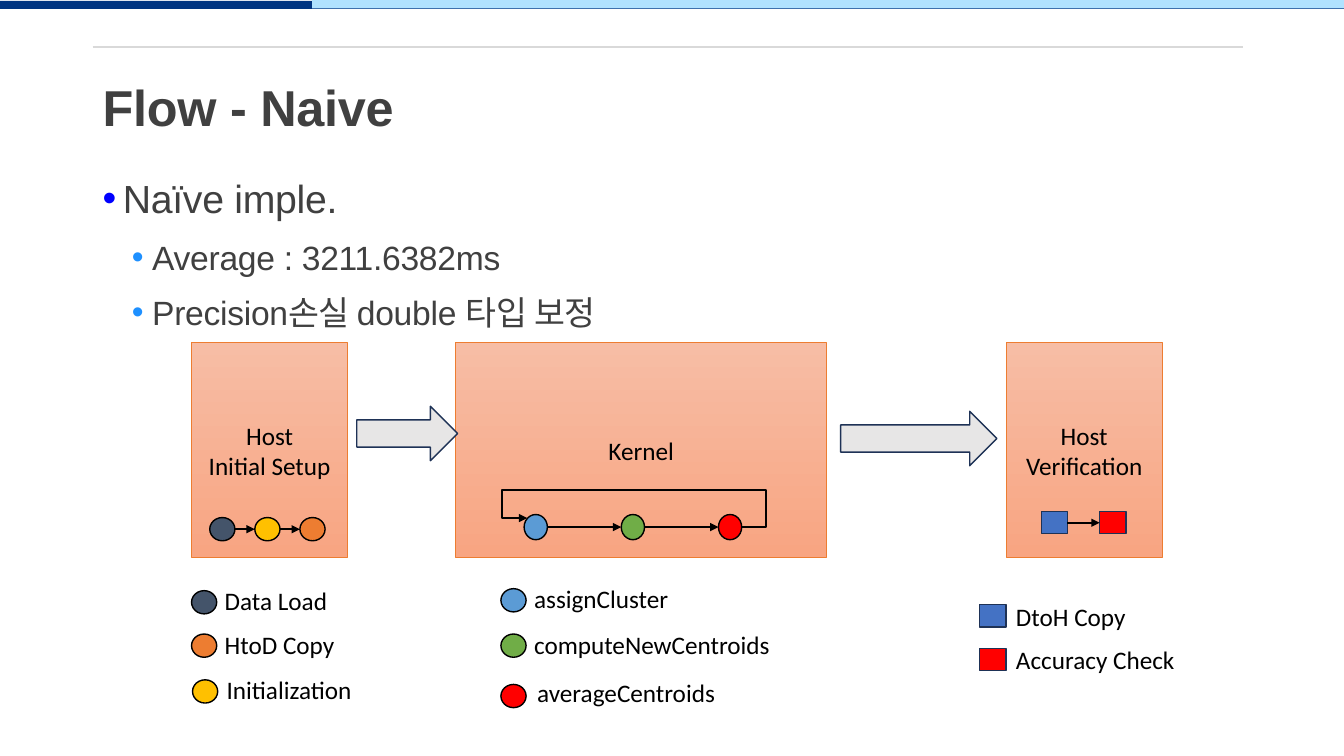
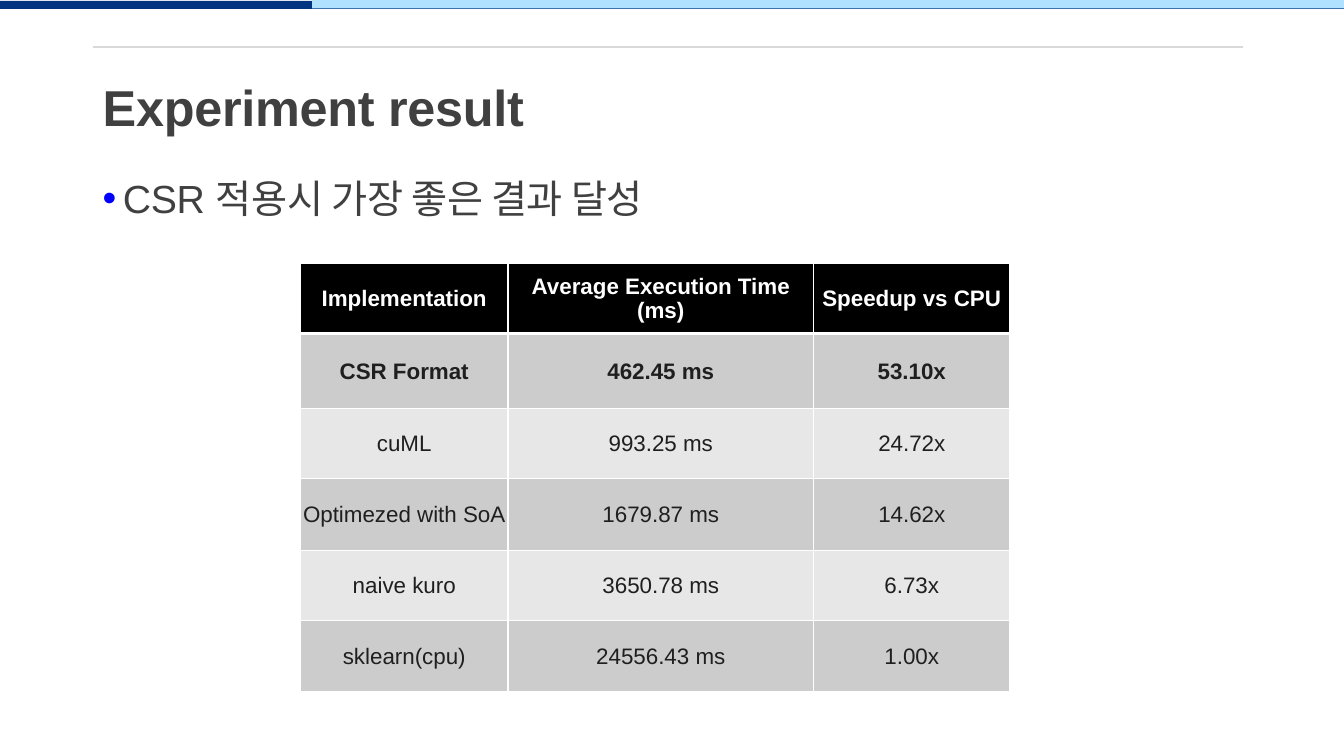
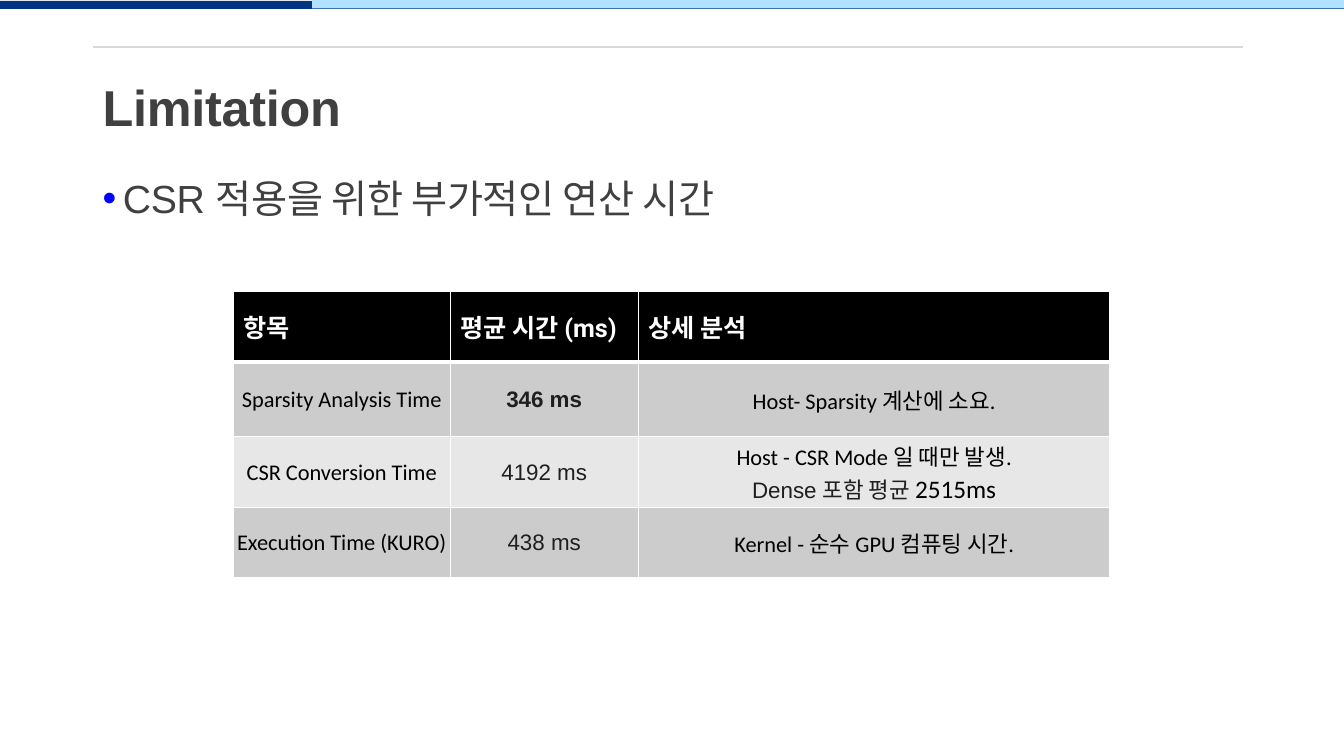
from dataclasses import dataclass

import lxml.etree
import pptx
import pptx.dml.color
import pptx.enum.shapes
import pptx.enum.text
import pptx.oxml.ns
import pptx.util

Pt = pptx.util.Pt
qn = pptx.oxml.ns.qn
SHAPE = pptx.enum.shapes.MSO_SHAPE
CONNECTOR = pptx.enum.shapes.MSO_CONNECTOR
ALIGN = pptx.enum.text.PP_ALIGN
ANCHOR = pptx.enum.text.MSO_ANCHOR

# Shared colours
NAVY, SKY, RULE_GRAY, TEXT_GRAY = "003481", "B0E2FF", "D9D9D9", "404040"
BLACK, WHITE, INK, OUTLINE = "000000", "FFFFFF", "1F1F1F", "1E3256"
SLATE, ORANGE, GOLD, RED = "44546A", "ED7D31", "FFC000", "FF0000"
LIGHT_BLUE, GREEN, BLUE = "5B9BD5", "70AD47", "4472C4"
BAND_COLORS = ("CCCCCC", "E7E7E7")

# Marker sizes
CIRCLE = (18, 16.6)
TALL_CIRCLE = (16.6, 18)
SQUARE = (18.7, 15.8)


@dataclass(frozen=True)
class TextStyle:
    font: str
    size: float
    color: str
    bold: bool = False


@dataclass(frozen=True)
class Span:
    text: str
    style: TextStyle


@dataclass(frozen=True)
class BulletLevel:
    size: float
    indent: float
    space_before: float
    bullet_color: str


@dataclass(frozen=True)
class Stage:
    left: float
    width: float
    lines: tuple[str, ...]


@dataclass(frozen=True)
class LegendEntry:
    label: str
    color: str
    left: float
    top: float
    label_right: float = 16.6
    label_up: float = 7.2
    square: bool = False


@dataclass(frozen=True)
class TableCell:
    lines: tuple[tuple[Span, ...], ...]
    centered: bool = True


@dataclass(frozen=True)
class TableSpec:
    left: float
    top: float
    widths: tuple[float, ...]
    heights: tuple[float, ...]
    rows: list[list[TableCell]]


TITLE_STYLE = TextStyle("Arial", 36, TEXT_GRAY, True)
DIAGRAM_STYLE = TextStyle("Calibri", 18, BLACK)
HEADER_STYLE = TextStyle("Arial", 16, WHITE, True)
KOREAN_HEADER_STYLE = TextStyle("Roboto", 18, WHITE, True)
VALUE_STYLE = TextStyle("Arial", 16, INK)
BEST_STYLE = TextStyle("Arial", 16, INK, True)
NOTE_STYLE = TextStyle("Calibri", 16, BLACK)
BULLET_LEVELS = (
    BulletLevel(28, 14.4, 10, "0000FF"),
    BulletLevel(24, 35.3, 5, "1E90FF"),
)

STAGE_TOP, STAGE_HEIGHT = 244.8, 153.4
STAGES = (
    Stage(136.8, 111.6, ("Host", "Initial Setup")),
    Stage(325.6, 264.8, ("Kernel",)),
    Stage(718.6, 111.6, ("Host", "Verification")),
)
LEGEND = (
    LegendEntry("Data Load", SLATE, 136.8, 421.9),
    LegendEntry("HtoD Copy", ORANGE, 136.8, 452.9),
    LegendEntry("Initialization", GOLD, 137.5, 485.6, 17.3),
    LegendEntry("assignCluster", LIGHT_BLUE, 357.8, 420.5),
    LegendEntry("computeNewCentroids", GREEN, 357.8, 452.9),
    LegendEntry("averageCentroids", RED, 357.8, 488.9, 18.8, 8.7),
    LegendEntry("DtoH Copy", BLUE, 699.8, 432, 18.8, 5.8, True),
    LegendEntry("Accuracy Check", RED, 699.8, 463, 18.8, 6.5, True),
)


def rgb(color: str) -> pptx.dml.color.RGBColor:
    return pptx.dml.color.RGBColor.from_string(color)


def style_font(font, style: TextStyle) -> None:
    font.name = style.font
    font.size = Pt(style.size)
    font.bold = style.bold
    font.color.rgb = rgb(style.color)


def write_line(paragraph, *spans: Span) -> None:
    """Fill one paragraph; a style common to all spans goes on the paragraph."""
    uniform = len({span.style for span in spans}) == 1
    if uniform:
        style_font(paragraph.font, spans[0].style)
    for span in spans:
        run = paragraph.add_run()
        run.text = span.text
        if not uniform:
            style_font(run.font, span.style)


def paragraphs_for(frame, count: int) -> list:
    while len(frame.paragraphs) < count:
        frame.add_paragraph()
    return list(frame.paragraphs)


def add_box(slide, kind, left: float, top: float, width: float, height: float,
            fill: str, line: str | None = None, line_width: float = 1):
    box = slide.shapes.add_shape(kind, Pt(left), Pt(top), Pt(width), Pt(height))
    box.shadow.inherit = False
    box.fill.solid()
    box.fill.fore_color.rgb = rgb(fill)
    if line is None:
        box.line.fill.background()
    else:
        box.line.color.rgb = rgb(line)
        box.line.width = Pt(line_width)
    return box


def add_line(slide, start: tuple[float, float], end: tuple[float, float],
             color: str = BLACK, arrow: bool = True, kind=CONNECTOR.STRAIGHT):
    line = slide.shapes.add_connector(kind, *(Pt(value) for value in start + end))
    line.line.color.rgb = rgb(color)
    line.line.width = Pt(1.5)
    properties = line.element.spPr
    if arrow:
        outline = properties.find(qn("a:ln"))
        lxml.etree.SubElement(outline, qn("a:tailEnd"), type="triangle")
    lxml.etree.SubElement(properties, qn("a:effectLst"))
    return line


# Shared slide frame
def prepare_layout(layout, slide) -> None:
    """Place the layout's placeholders and give it the bands and the rule."""
    for placeholder, top, height in zip(layout.placeholders, (57.6, 114.5), (42.5, 372.2)):
        placeholder.left, placeholder.top = Pt(66.2), Pt(top)
        placeholder.width, placeholder.height = Pt(828), Pt(height)
    decorations = (
        add_box(slide, SHAPE.RECTANGLE, 0, 0.7, 960, 5.6, NAVY),
        add_box(slide, SHAPE.RECTANGLE, 223, 0, 737, 6, SKY),
        add_line(slide, (66.2, 33.5), (887.8, 33.5), RULE_GRAY, arrow=False),
    )
    for index, decoration in enumerate(decorations):
        decoration.element.xpath(".//p:cNvPr")[0].set("id", str(100 + index))
        layout.shapes.element.insert(2 + index, decoration.element)


def tighten(paragraph) -> None:
    paragraph._p.get_or_add_pPr().get_or_add_defRPr().set("spc", "-20")


def fill_title(slide, text: str) -> None:
    frame = slide.shapes.title.text_frame
    frame.auto_size = pptx.enum.text.MSO_AUTO_SIZE.NONE
    frame.vertical_anchor = ANCHOR.MIDDLE
    paragraph = frame.paragraphs[0]
    paragraph.alignment = ALIGN.LEFT
    paragraph.line_spacing = 0.9
    write_line(paragraph, Span(text, TITLE_STYLE))
    tighten(paragraph)


def fill_bullets(slide, items: list[tuple[int, str]]) -> None:
    frame = slide.placeholders[1].text_frame
    frame.auto_size = pptx.enum.text.MSO_AUTO_SIZE.NONE
    for paragraph, (depth, text) in zip(paragraphs_for(frame, len(items)), items):
        level = BULLET_LEVELS[depth]
        paragraph.level = depth
        paragraph.line_spacing = 1.2
        paragraph.space_before = Pt(level.space_before)
        properties = paragraph._p.get_or_add_pPr()
        properties.set("marL", str(Pt(level.indent)))
        properties.set("indent", str(-Pt(14.4)))
        bullet_color = lxml.etree.SubElement(properties, qn("a:buClr"))
        lxml.etree.SubElement(bullet_color, qn("a:srgbClr"), val=level.bullet_color)
        lxml.etree.SubElement(properties, qn("a:buFont"), typeface="Arial")
        lxml.etree.SubElement(properties, qn("a:buChar"), char="•")
        write_line(paragraph, Span(text, TextStyle("Arial", level.size, TEXT_GRAY)))
        tighten(paragraph)


# Flow diagram
def add_stage(slide, stage: Stage) -> None:
    box = add_box(slide, SHAPE.RECTANGLE, stage.left, STAGE_TOP, stage.width,
                  STAGE_HEIGHT, WHITE, ORANGE, 0.5)
    box.fill.gradient()
    box.fill.gradient_angle = 270
    for stop, color in zip(box.fill.gradient_stops, ("F7BDA5", "F8A582")):
        stop.color.rgb = rgb(color)
    frame = box.text_frame
    frame.vertical_anchor = ANCHOR.MIDDLE
    for paragraph, text in zip(paragraphs_for(frame, len(stage.lines)), stage.lines):
        paragraph.alignment = ALIGN.CENTER
        write_line(paragraph, Span(text, DIAGRAM_STYLE))


def add_legend_entry(slide, entry: LegendEntry) -> None:
    if entry.square:
        add_box(slide, SHAPE.RECTANGLE, entry.left, entry.top, *SQUARE, entry.color, OUTLINE)
    else:
        add_box(slide, SHAPE.OVAL, entry.left, entry.top, *CIRCLE, entry.color, BLACK)
    label = slide.shapes.add_textbox(
        Pt(entry.left + entry.label_right), Pt(entry.top - entry.label_up), Pt(190), Pt(28.8))
    label.text_frame.word_wrap = True
    write_line(label.text_frame.paragraphs[0], Span(entry.label, DIAGRAM_STYLE))


def add_circle_chain(slide, left: float, middle: float, step: float,
                     size: tuple[float, float], colors: tuple[str, ...]) -> None:
    """Draw evenly spaced circles, each joined to the next by an arrow."""
    width, height = size
    for index, color in enumerate(colors):
        start = left + index * step
        add_box(slide, SHAPE.OVAL, start, middle - height / 2, width, height, color, BLACK)
        if index:
            add_line(slide, (start - step + width, middle), (start, middle))


def add_loop_arrow(slide) -> None:
    loop = add_line(slide, (529.2, 376.5), (376.6, 370.1), kind=CONNECTOR.ELBOW)
    geometry = loop.element.spPr.find(qn("a:prstGeom"))
    geometry.set("prst", "bentConnector5")
    guides = geometry.find(qn("a:avLst"))
    for number, value in enumerate((-11800, 416700, 111800), start=1):
        lxml.etree.SubElement(guides, qn("a:gd"), name=f"adj{number}", fmla=f"val {value}")


def draw_flow(slide) -> None:
    for stage in STAGES:
        add_stage(slide, stage)
    for left, top, width in ((254.9, 290.2, 72), (600.5, 293.8, 111.6)):
        add_box(slide, SHAPE.RIGHT_ARROW, left, top, width, 38.9, "E7E6E6", OUTLINE)
    add_circle_chain(slide, 149.8, 378, 32.2, CIRCLE, (SLATE, GOLD, ORANGE))
    add_circle_chain(slide, 374.4, 376.5, 69.4, TALL_CIRCLE, (LIGHT_BLUE, GREEN, RED))
    add_loop_arrow(slide)
    copy_square, check_square = (
        add_box(slide, SHAPE.RECTANGLE, left, 365.5, *SQUARE, color, OUTLINE)
        for left, color in ((743.8, BLUE), (785.5, RED)))
    link = add_line(slide, (762.5, 373.4), (785.5, 373.4))
    link.begin_connect(copy_square, 3)
    link.end_connect(check_square, 1)
    for entry in LEGEND:
        add_legend_entry(slide, entry)


# Tables
def text_cell(text: str, style: TextStyle, centered: bool = True) -> TableCell:
    return TableCell(((Span(text, style),),), centered)


def set_borders(cell, top: float, bottom: float) -> None:
    properties = cell._tc.get_or_add_tcPr()
    for index, (side, width) in enumerate(
            (("lnL", 1), ("lnR", 1), ("lnT", top), ("lnB", bottom))):
        border = lxml.etree.Element(qn(f"a:{side}"), w=str(Pt(width)))
        fill = lxml.etree.SubElement(border, qn("a:solidFill"))
        lxml.etree.SubElement(fill, qn("a:srgbClr"), val=WHITE)
        properties.insert(index, border)


def fill_cell(cell, content: TableCell, row_index: int) -> None:
    cell.fill.solid()
    cell.fill.fore_color.rgb = rgb(BAND_COLORS[(row_index - 1) % 2] if row_index else BLACK)
    set_borders(cell, top=3 if row_index == 1 else 1, bottom=1 if row_index else 3)
    cell.vertical_anchor = ANCHOR.MIDDLE
    if content.centered:
        cell.margin_left = cell.margin_right = cell.margin_top = Pt(0.7)
        cell.margin_bottom = Pt(0)
    frame = cell.text_frame
    for paragraph, spans in zip(paragraphs_for(frame, len(content.lines)), content.lines):
        paragraph.alignment = ALIGN.CENTER if content.centered else ALIGN.LEFT
        write_line(paragraph, *spans)


def draw_table(slide, spec: TableSpec) -> None:
    table = slide.shapes.add_table(
        len(spec.heights), len(spec.widths), Pt(spec.left), Pt(spec.top),
        Pt(sum(spec.widths)), Pt(sum(spec.heights))).table
    for column, width in zip(table.columns, spec.widths):
        column.width = Pt(width)
    for row_index, (row, height) in enumerate(zip(table.rows, spec.heights)):
        row.height = Pt(height)
        for cell, content in zip(row.cells, spec.rows[row_index]):
            fill_cell(cell, content, row_index)


def result_table() -> TableSpec:
    texts = (
        ("Implementation", "Average Execution Time (ms)", "Speedup vs CPU"),
        ("CSR Format", "462.45 ms", "53.10x"),
        ("cuML", "993.25 ms", "24.72x"),
        ("Optimezed with SoA", "1679.87 ms", "14.62x"),
        ("naive kuro", "3650.78 ms", "6.73x"),
        ("sklearn(cpu)", "24556.43 ms", "1.00x"),
    )
    styles = [HEADER_STYLE, BEST_STYLE] + [VALUE_STYLE] * 4
    rows = [[text_cell(text, style) for text in row] for row, style in zip(texts, styles)]
    return TableSpec(214.6, 187.9, (148.3, 218.2, 140.4),
                     (50.4, 53.3, 50.4, 51.1, 50.4, 50.4), rows)


def limitation_table() -> TableSpec:
    header = [text_cell(text, KOREAN_HEADER_STYLE, centered=False)
              for text in ("항목", "평균 시간 (ms)", "상세 분석")]
    conversion_note = TableCell((
        (Span("Host - CSR Mode 일 때만 발생.", NOTE_STYLE),),
        (Span("Dense 포함 평균 ", VALUE_STYLE), Span("2515ms", DIAGRAM_STYLE)),
    ))
    entries = (
        ("Sparsity Analysis Time", "346 ms", BEST_STYLE,
         text_cell("Host- Sparsity 계산에 소요.", NOTE_STYLE)),
        ("CSR Conversion Time", "4192 ms", VALUE_STYLE, conversion_note),
        ("Execution Time (KURO)", "438 ms", VALUE_STYLE,
         text_cell("Kernel - 순수 GPU 컴퓨팅 시간.", NOTE_STYLE)),
    )
    rows = [[text_cell(name, NOTE_STYLE), text_cell(value, style), note]
            for name, value, style, note in entries]
    return TableSpec(166.7, 208.3, (154.8, 134.4, 337),
                     (50.4, 53.3, 50.4, 50.4), [header] + rows)


def main() -> None:
    deck = pptx.Presentation()
    deck.slide_width, deck.slide_height = Pt(960), Pt(540)
    layout = deck.slide_layouts[1]
    contents = (
        ("Flow - Naive", [(0, "Naïve imple."), (1, "Average : 3211.6382ms"),
                          (1, "Precision손실 double 타입 보정")]),
        ("Experiment result", [(0, "CSR 적용시 가장 좋은 결과 달성")]),
        ("Limitation", [(0, "CSR 적용을 위한 부가적인 연산 시간")]),
    )
    slides = [deck.slides.add_slide(layout) for _ in contents]
    prepare_layout(layout, slides[0])
    for slide, (title, bullets) in zip(slides, contents):
        fill_title(slide, title)
        fill_bullets(slide, bullets)
    flow, result, limitation = slides
    draw_flow(flow)
    draw_table(result, result_table())
    draw_table(limitation, limitation_table())
    deck.save("out.pptx")


if __name__ == "__main__":
    main()
